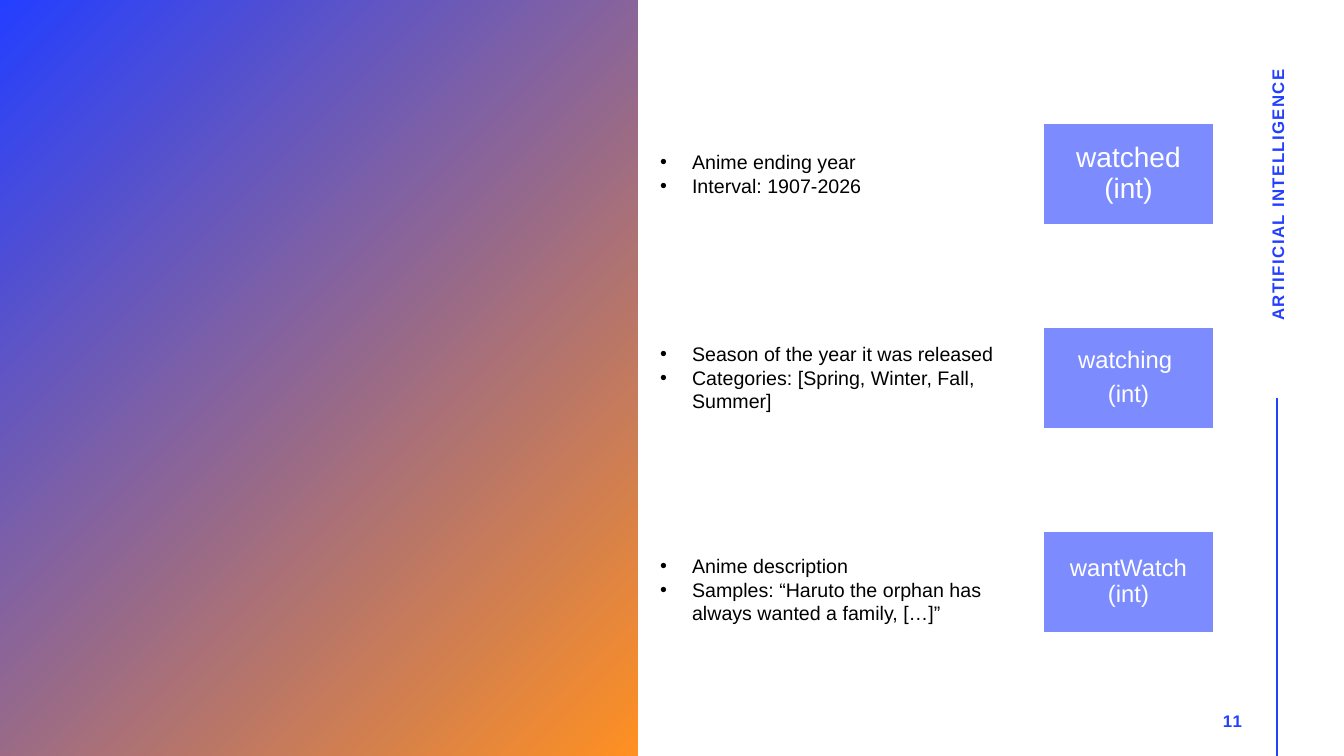
"""Build the slide describing three anime list fields beside a gradient panel."""
from lxml import etree
from pptx import Presentation, util as u
from pptx.dml import color
from pptx.enum import shapes, text
from pptx.oxml import ns

PX = 914400 / 100.8
THEME = {
    "font": "Arial",
    "blue": color.RGBColor.from_string("243FFF"),
    "orange": color.RGBColor.from_string("FF9022"),
    "periwinkle": color.RGBColor.from_string("7C8CFF"),
    "white": color.RGBColor.from_string("FFFFFF"),
    "black": color.RGBColor.from_string("000000"),
    "label_size": 12,
    "list_size": 14,
    "field_size": 17,
    "large_field_size": 20,
}


def px(*lengths):
    """Turn pixel lengths into EMU."""
    return [u.Emu(round(length * PX)) for length in lengths]


def write(shape, lines, size, ink, align=text.PP_ALIGN.LEFT, anchor=text.MSO_ANCHOR.MIDDLE,
          bold=False, tracking=0, bullet=False, spacing=1.0, after=0, inset=None):
    """Fill a shape with formatted paragraphs."""
    frame = shape.text_frame
    frame.word_wrap = True
    frame.auto_size = text.MSO_AUTO_SIZE.NONE
    frame.vertical_anchor = anchor
    if inset is not None:
        frame.margin_left, frame.margin_top, frame.margin_right, frame.margin_bottom = px(*[inset] * 4)
    for index, line in enumerate(lines):
        paragraph = frame.paragraphs[0] if index == 0 else frame.add_paragraph()
        if bullet:
            properties = paragraph._p.get_or_add_pPr()
            indent = px(32)[0]
            properties.set("marL", str(indent))
            properties.set("indent", str(-indent))
            etree.SubElement(properties, ns.qn("a:buFont")).set("typeface", THEME["font"])
            etree.SubElement(properties, ns.qn("a:buChar")).set("char", "•")
        paragraph.alignment = align
        paragraph.line_spacing = spacing
        paragraph.space_before = u.Pt(0)
        paragraph.space_after = u.Pt(after)
        run = paragraph.add_run()
        run.text = line
        run.font.name = THEME["font"]
        run.font.size = u.Pt(size)
        run.font.bold = bold
        run.font.color.rgb = ink
        if tracking:
            run._r.get_or_add_rPr().set("spc", str(tracking * 100))


presentation = Presentation()
presentation.slide_width, presentation.slide_height = px(1344, 756)
slide = presentation.slides.add_slide(presentation.slide_layouts.get_by_name("Comparison"))
placeholders = {item.placeholder_format.idx: item for item in slide.placeholders}

rule = slide.shapes.add_connector(shapes.MSO_CONNECTOR.STRAIGHT, *px(1277, 398, 1277, 756))
rule.line.color.rgb = THEME["blue"]
rule.line.width = u.Pt(2)
etree.SubElement(rule._element.spPr, ns.qn("a:effectLst"))

panel = slide.shapes.add_shape(shapes.MSO_SHAPE.RECTANGLE, *px(0, 0, 638, 756))
panel.shadow.inherit = False
panel.line.fill.background()
panel.fill.gradient()
panel.fill.gradient_angle = 315
for stop, name in zip(panel.fill.gradient_stops, ("blue", "orange")):
    stop.color.rgb = THEME[name]

title = placeholders[0]
title.left, title.top, title.width, title.height = px(1082, 175, 391, 40)
title.rotation = 270
write(title, ["ARTIFICIAL INTELLIGENCE"], THEME["label_size"], THEME["blue"],
      align=text.PP_ALIGN.CENTER, bold=True, tracking=1)

page_number = slide.shapes.add_textbox(*px(950, 701, 302, 40))
write(page_number, ["11"], THEME["label_size"], THEME["blue"],
      align=text.PP_ALIGN.RIGHT, bold=True, tracking=1)

fields = [
    (["watched (int)"], THEME["large_field_size"], 145, 57,
     ["Anime ending year", "Interval: 1907-2026"]),
    (["watching ", "(int)"], THEME["field_size"], 337, 82,
     ["Season of the year it was released", "Categories: [Spring, Winter, Fall, Summer]"]),
    (["wantWatch (int)"], THEME["field_size"], 549, 82,
     ["Anime description", "Samples: “Haruto the orphan has always wanted a family, […]”"]),
]
for row, (label, size, list_top, list_height, details) in enumerate(fields):
    box = slide.shapes.add_shape(shapes.MSO_SHAPE.RECTANGLE, *px(1043, 123 + 204 * row, 171, 102))
    box.shadow.inherit = False
    box.fill.solid()
    box.fill.fore_color.rgb = THEME["periwinkle"]
    box.line.color.rgb = THEME["white"]
    box.line.width = u.Pt(1)
    write(box, label, size, THEME["white"], align=text.PP_ALIGN.CENTER,
          spacing=0.9, after=6, inset=8)

    body = placeholders[row + 1]
    body.left, body.top, body.width, body.height = px(650, list_top, 382, list_height)
    write(body, details, THEME["list_size"], THEME["black"],
          anchor=text.MSO_ANCHOR.TOP, bullet=True)

spare = placeholders[4]._element
spare.getparent().remove(spare)

presentation.save("out.pptx")
